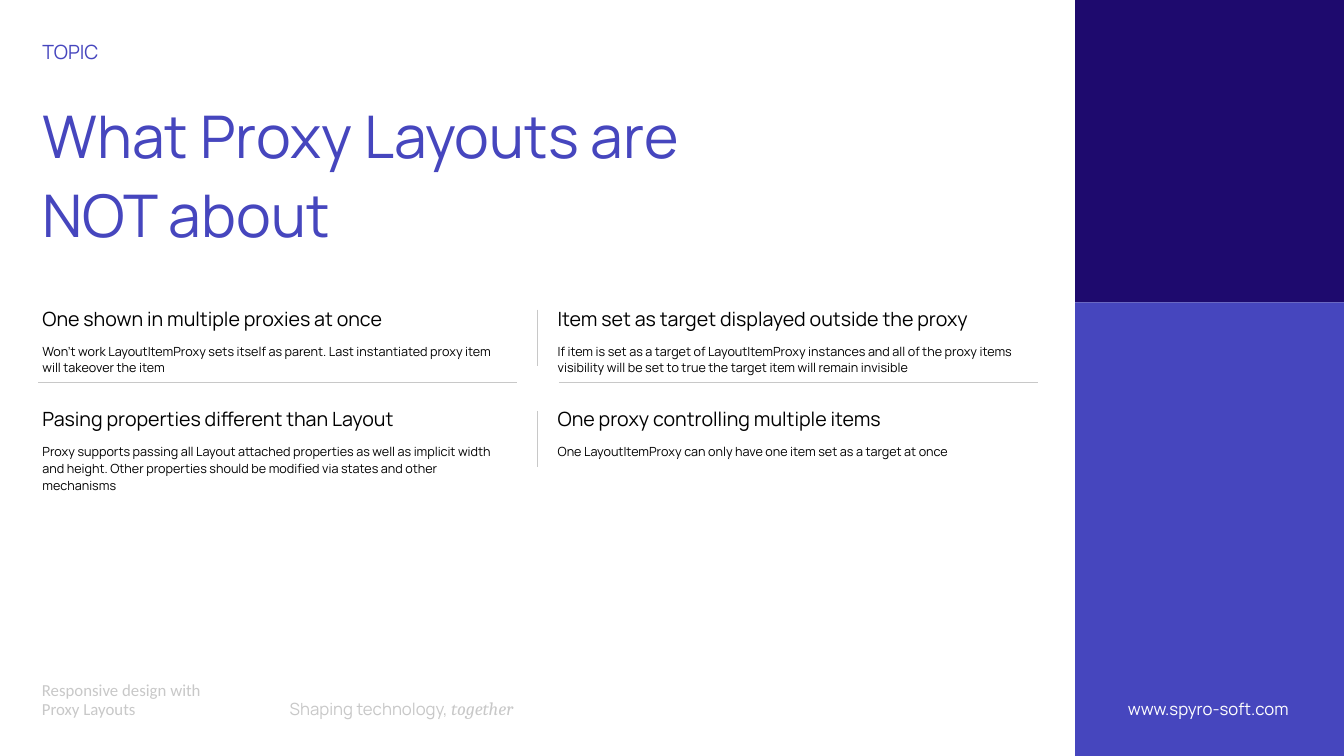
from pptx import Presentation
from pptx.dml.color import RGBColor
from pptx.enum.shapes import MSO_CONNECTOR, MSO_SHAPE
from pptx.enum.text import MSO_ANCHOR, MSO_AUTO_SIZE, PP_ALIGN
from pptx.oxml.ns import qn
from pptx.util import Inches, Pt
from lxml import etree

RECTANGLE = MSO_SHAPE.RECTANGLE
STRAIGHT = MSO_CONNECTOR.STRAIGHT
TOP, BOTTOM = MSO_ANCHOR.TOP, MSO_ANCHOR.BOTTOM
LEFT = PP_ALIGN.LEFT
NO_AUTOFIT = MSO_AUTO_SIZE.NONE

# The grid has square cells, three to the inch
COLUMNS, ROWS = 80, 45
TITLE_ONLY = 5

COLORS = {
    "indigo": "4646BE",
    "navy": "1E0A6E",
    "gray": "C8C8C8",
    "white": "FFFFFF",
    "black": "000000",
}

FORMATS = {
    "topic": {"size": Pt(28), "name": "Manrope", "color": "indigo"},
    "title": {"size": Pt(84), "name": "Manrope", "color": "indigo"},
    "heading": {"size": Pt(28), "name": "Manrope", "color": "black"},
    "detail": {"size": Pt(18), "name": "Manrope", "color": "black"},
    "deck name": {"size": Pt(24), "name": "Calibri", "color": "gray"},
    "slogan": {"size": Pt(24), "name": "Manrope", "color": "gray"},
    "accent": {"size": Pt(26), "name": "Cambria", "color": "gray", "italic": True},
    "website": {"size": Pt(24), "name": "Manrope", "color": "white"},
}

CARDS = [
    ("One shown in multiple proxies at once",
     "Won't work LayoutItemProxy sets itself as parent. "
     "Last instantiated proxy item will takeover the item"),
    ("Item set as target displayed outside the proxy",
     "If item is set as a target of LayoutItemProxy instances and all of the "
     "proxy items visibility will be set to true the target item will remain invisible"),
    ("Pasing properties different than Layout",
     "Proxy supports passing all Layout attached properties as well as implicit "
     "width and height. Other properties should be modified via states and other mechanisms"),
    ("One proxy controlling multiple items",
     "One LayoutItemProxy can only have one item set as a target at once"),
]


def cells(count):
    return Inches(count / 3)


def rgb(color):
    return RGBColor.from_string(COLORS[color])


class SlideBuilder:
    def __init__(self, page):
        self.page = page

    def panel(self, left, top, width, height, color):
        panel = self.page.shapes.add_shape(RECTANGLE, *map(cells, (left, top, width, height)))
        panel.shadow.inherit = False
        panel.fill.solid()
        panel.fill.fore_color.rgb = rgb(color)
        panel.line.fill.background()

    def line(self, left, top, right, bottom):
        line = self.page.shapes.add_connector(STRAIGHT, *map(cells, (left, top, right, bottom)))
        line.line.color.rgb = rgb("gray")
        line.line.width = Pt(0.5)
        etree.SubElement(line._element.spPr, qn("a:effectLst"))

    def fill_text(self, box, spans, spacing, anchor=TOP):
        frame = box.text_frame
        frame.word_wrap = True
        frame.auto_size = NO_AUTOFIT
        frame.vertical_anchor = anchor
        para = frame.paragraphs[0]
        para.alignment = LEFT
        para.line_spacing = spacing
        for text, style in spans:
            for number, part in enumerate(text.split("\n")):
                if number:
                    para.add_line_break()
                span = para.add_run()
                span.text = part
                for key, value in FORMATS[style].items():
                    if key == "color":
                        span.font.color.rgb = rgb(value)
                    else:
                        setattr(span.font, key, value)

    def text(self, left, top, width, height, spans, spacing, anchor=TOP):
        box = self.page.shapes.add_textbox(*map(cells, (left, top, width, height)))
        self.fill_text(box, spans, spacing, anchor)

    def title(self, left, top, width, height, text):
        box = self.page.shapes.title
        box.left, box.top, box.width, box.height = map(cells, (left, top, width, height))
        self.fill_text(box, [(text, "title")], Pt(112))

    def card(self, left, top, width, heading, detail):
        self.text(left, top, width, 2.1, [(heading, "heading")], Pt(36))
        self.text(left, top + 2.2, width, 1.6, [(detail, "detail")], Pt(24))

    def footer(self, left, width, spans, spacing=Pt(112)):
        self.text(left, 39.75, width, 3.18, spans, spacing, BOTTOM)


def main():
    deck = Presentation()
    deck.slide_width, deck.slide_height = cells(COLUMNS), cells(ROWS)
    page = deck.slides.add_slide(deck.slide_layouts[TITLE_ONLY])
    builder = SlideBuilder(page)

    # Side panels
    builder.panel(64, 0, 16, 18, "navy")
    builder.panel(64, 18, 16, 27, "indigo")

    # Topic and title
    builder.text(2.22, 2.1, 59.55, 2.4, [("TOPIC", "topic")], Pt(36))
    builder.title(2.22, 5.34, 59.55, 5.85, "What Proxy Layouts are\nNOT about")

    # Cards, two by two
    for number, (heading, detail) in enumerate(CARDS):
        row, column = divmod(number, 2)
        left, width = ((2.23, 28.5), (32.9, 28.9))[column]
        builder.card(left, 18 + 6 * row, width, heading, detail)

    # Dividers between the cards
    for left in (2.28, 33.27):
        builder.line(left, 22.74, left + 28.5, 22.74)
    for top in (18.43, 24.45):
        builder.line(32, top, 32, top + 3.33)

    # Footer
    builder.footer(2.2, 14.75, [("Responsive design with\nProxy Layouts", "deck name")], 0.9)
    builder.footer(16.95, 23, [("Shaping technology, ", "slogan"), ("together", "accent")])
    builder.footer(66.84, 12.4, [("www.spyro-soft.com", "website")])

    deck.save("out.pptx")


if __name__ == "__main__":
    main()
